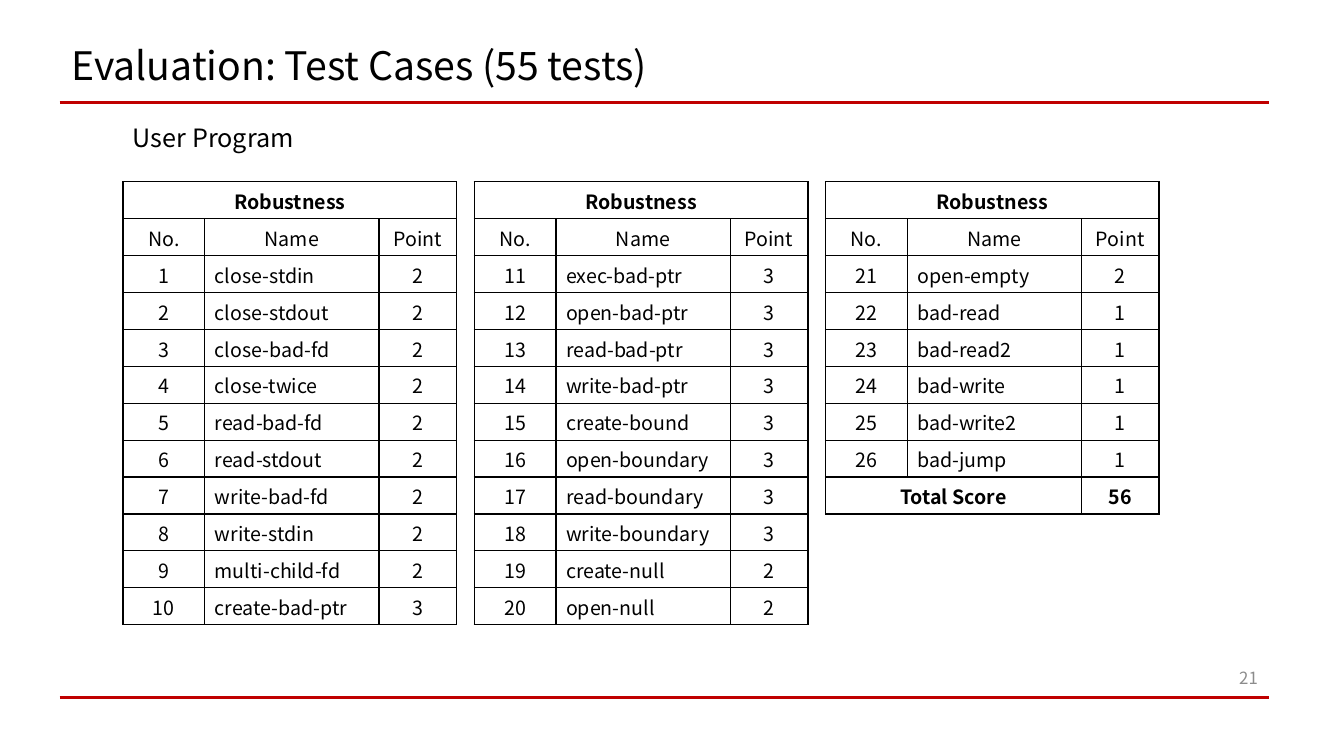
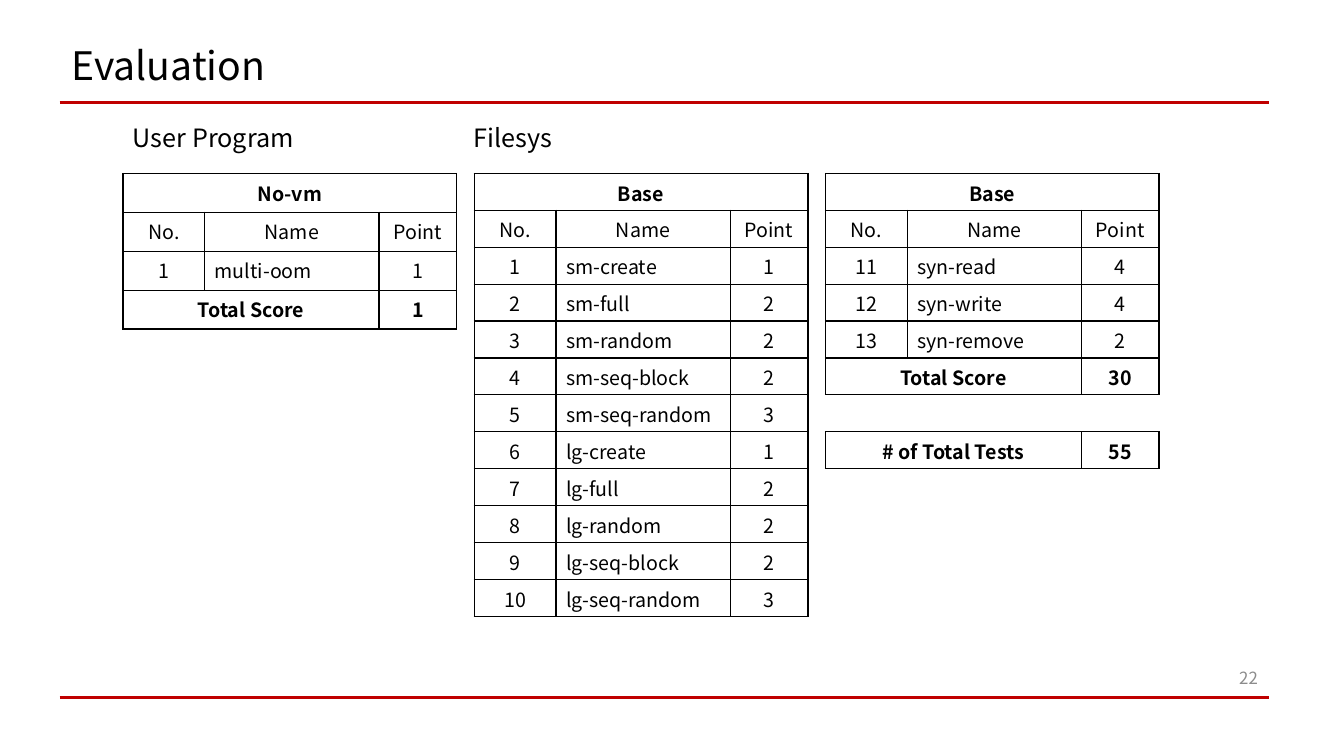
from pptx import Presentation
from pptx.dml.color import RGBColor
from pptx.enum.shapes import MSO_CONNECTOR
from pptx.enum.text import MSO_ANCHOR, MSO_AUTO_SIZE, PP_ALIGN
from pptx.oxml.ns import qn
from pptx.util import Cm, Pt
from lxml import etree

LEFT, CENTER, RIGHT = PP_ALIGN.LEFT, PP_ALIGN.CENTER, PP_ALIGN.RIGHT
TOP, MIDDLE = MSO_ANCHOR.TOP, MSO_ANCHOR.MIDDLE
STRAIGHT = MSO_CONNECTOR.STRAIGHT
NO_AUTOFIT = MSO_AUTO_SIZE.NONE

FONT = "Noto Sans CJK KR"
COLORS = {"text": "000000", "rule": "C00000", "number": "8C8C8C"}

HEADER = ("No.", "Name", "Point")
GAP_ROW = ("", "", "")

PAGES = [
    {
        "title": "Evaluation: Test Cases (55 tests)",
        "number": 21,
        "captions": [("User Program", 3.1)],
        "tables_top": 4.58,
        "tables": [
            {"heading": "Robustness", "first": 1, "row_height": 0.93, "closing": [],
             "tests": [("close-stdin", 2), ("close-stdout", 2), ("close-bad-fd", 2),
                       ("close-twice", 2), ("read-bad-fd", 2), ("read-stdout", 2),
                       ("write-bad-fd", 2), ("write-stdin", 2), ("multi-child-fd", 2),
                       ("create-bad-ptr", 3)]},
            {"heading": "Robustness", "first": 11, "row_height": 0.93, "closing": [],
             "tests": [("exec-bad-ptr", 3), ("open-bad-ptr", 3), ("read-bad-ptr", 3),
                       ("write-bad-ptr", 3), ("create-bound", 3), ("open-boundary", 3),
                       ("read-boundary", 3), ("write-boundary", 3), ("create-null", 2),
                       ("open-null", 2)]},
            {"heading": "Robustness", "first": 21, "row_height": 0.93,
             "closing": [("Total Score", "", "56")],
             "tests": [("open-empty", 2), ("bad-read", 1), ("bad-read2", 1),
                       ("bad-write", 1), ("bad-write2", 1), ("bad-jump", 1)]},
        ],
    },
    {
        "title": "Evaluation",
        "number": 22,
        "captions": [("User Program", 3.1), ("Filesys", 11.68)],
        "tables_top": 4.37,
        "tables": [
            {"heading": "No-vm", "first": 1, "row_height": 0.98,
             "closing": [("Total Score", "", "1")],
             "tests": [("multi-oom", 1)]},
            {"heading": "Base", "first": 1, "row_height": 0.93, "closing": [],
             "tests": [("sm-create", 1), ("sm-full", 2), ("sm-random", 2),
                       ("sm-seq-block", 2), ("sm-seq-random", 3), ("lg-create", 1),
                       ("lg-full", 2), ("lg-random", 2), ("lg-seq-block", 2),
                       ("lg-seq-random", 3)]},
            {"heading": "Base", "first": 11, "row_height": 0.93,
             "closing": [("Total Score", "", "30"), GAP_ROW, ("# of Total Tests", "", "55")],
             "tests": [("syn-read", 4), ("syn-write", 4), ("syn-remove", 2)]},
        ],
    },
]

RULE_LEFT, RULE_RIGHT, RULE_HEIGHTS = 1.5, 31.98, (17.58, 2.59)
TABLE_LEFT, TABLE_STEP = 3.1, 8.85
COLUMN_WIDTHS = (2.06, 4.39, 1.96)


def write(frame, text, size, align=LEFT, color="text", bold=False):
    frame.text = text
    para = frame.paragraphs[0]
    para.alignment = align
    font = para.font if not para.runs else para.runs[0].font
    font.name, font.size, font.bold = FONT, Pt(size), bold
    font.color.rgb = RGBColor.from_string(COLORS[color])
    return para


def add_label(page, text, box_cm, size, anchor=TOP, **style):
    box = page.shapes.add_textbox(*map(Cm, box_cm))
    box.text_frame.word_wrap = True
    box.text_frame.vertical_anchor = anchor
    write(box.text_frame, text, size, **style)


def add_master_rules(deck, page):
    for height in RULE_HEIGHTS:
        rule = page.shapes.add_connector(
            STRAIGHT, Cm(RULE_LEFT), Cm(height), Cm(RULE_RIGHT), Cm(height))
        rule.line.color.rgb = RGBColor.from_string(COLORS["rule"])
        rule.line.width = Pt(2.25)
        etree.SubElement(rule.element.spPr, qn("a:effectLst"))
        deck.slide_master.shapes.element.append(rule.element)


def set_borders(cell, drawn):
    properties = cell._tc.get_or_add_tcPr()
    for position, side in enumerate("LRTB"):
        line = etree.Element(qn(f"a:ln{side}"), w=str(Pt(1)))
        if side in drawn:
            fill = etree.SubElement(line, qn("a:solidFill"))
            etree.SubElement(fill, qn("a:srgbClr"), val=COLORS["text"])
        else:
            etree.SubElement(line, qn("a:noFill"))
        properties.insert(position, line)


def add_score_table(page, content, left, top):
    tests = [(str(number), name, str(point))
             for number, (name, point) in enumerate(content["tests"], content["first"])]
    rows = [(content["heading"], "", ""), HEADER, *tests, *content["closing"]]
    height = content["row_height"]
    table = page.shapes.add_table(
        len(rows), len(COLUMN_WIDTHS), Cm(left), Cm(top),
        Cm(sum(COLUMN_WIDTHS)), Cm(height * len(rows))).table
    table.first_row = table.horz_banding = False
    for column, width in zip(table.columns, COLUMN_WIDTHS):
        column.width = Cm(width)
    for index, row in enumerate(rows):
        table.rows[index].height = Cm(height)
        merged = row[1] == ""
        for column, text in enumerate(row):
            cell = table.cell(index, column)
            cell.fill.background()
            cell.margin_top, cell.margin_bottom = Cm(0.12), Cm(0.05)
            align = LEFT if row in tests and column == 1 else CENTER
            write(cell.text_frame, text, 14, align=align, bold=merged)
            set_borders(cell, "TB" if row == GAP_ROW else "LRTB")
        if merged:
            last = 2 if index == 0 else 1
            table.cell(index, 0).merge(table.cell(index, last))


def add_page(deck, content):
    page = deck.slides.add_slide(deck.slide_layouts[5])
    title = page.shapes.title
    title.left, title.top, title.width, title.height = map(Cm, (1.55, 1.04, 29.21, 1.35))
    title.text_frame.auto_size = NO_AUTOFIT
    title.text_frame.vertical_anchor = MIDDLE
    write(title.text_frame, content["title"], 28).line_spacing = 0.9
    add_label(page, str(content["number"]), (30.63, 16.56, 1.32, 1.02), 12,
              anchor=MIDDLE, align=RIGHT, color="number")
    for caption, left in content["captions"]:
        add_label(page, caption, (left, 2.97, 5.82, 1.02), 18)
    for position, table in enumerate(content["tables"]):
        add_score_table(page, table, TABLE_LEFT + position * TABLE_STEP, content["tables_top"])
    return page


deck = Presentation()
deck.slide_width, deck.slide_height = Cm(33.87), Cm(19.05)
pages = [add_page(deck, content) for content in PAGES]
add_master_rules(deck, pages[0])
deck.save("out.pptx")
